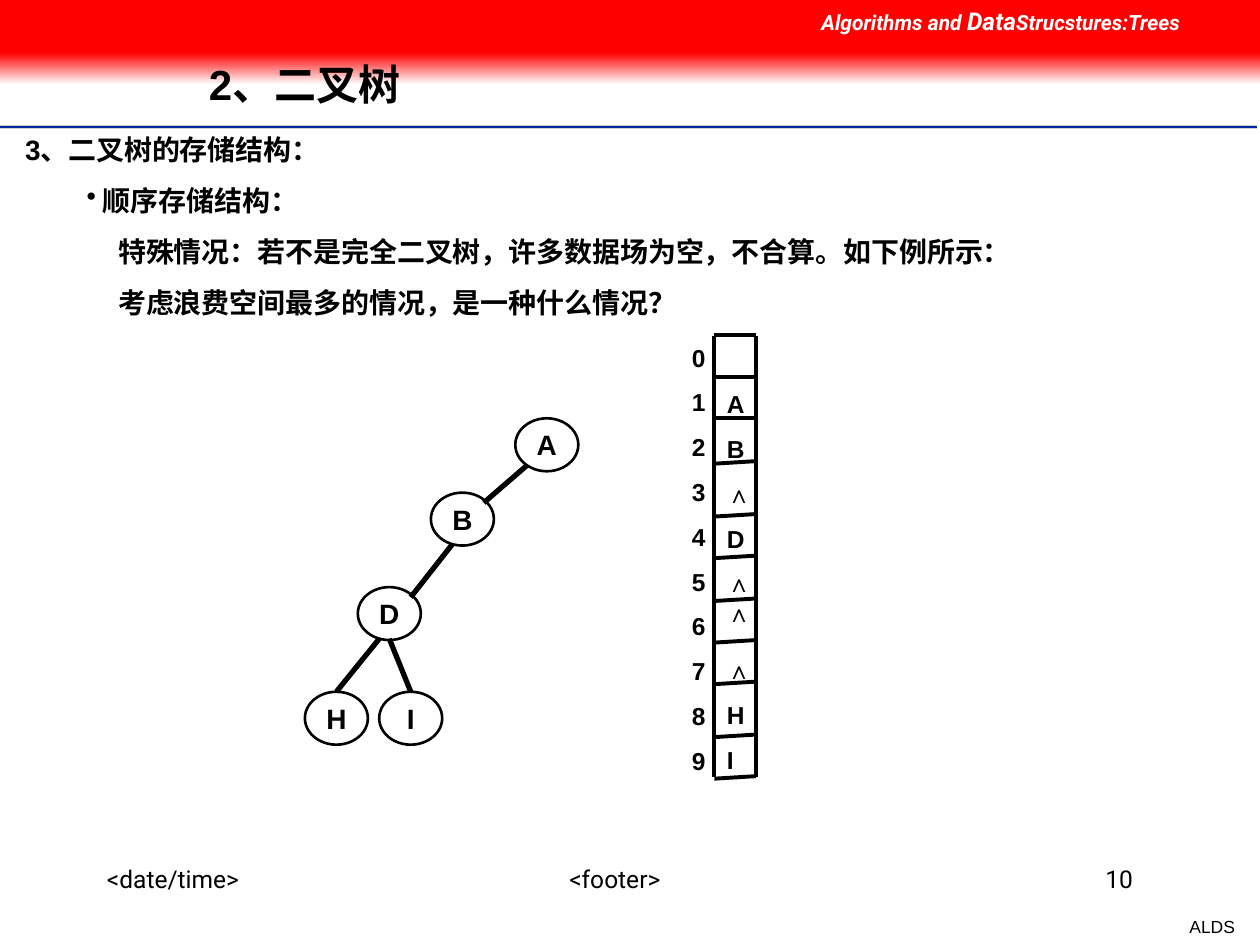
from lxml import etree
from pptx import Presentation, util as u
from pptx.dml.color import RGBColor
from pptx.enum import shapes, text
from pptx.oxml import ns

INK, RED, WHITE = "000000", "FF0000", "FFFFFF"
LEFT, MID, RIGHT = text.PP_ALIGN.LEFT, text.PP_ALIGN.CENTER, text.PP_ALIGN.RIGHT

RULES = [(1.01, "CECECE", 2), (1.01, "00279F", 1), (1.03, WHITE, 1)]

FOOT = [
    ((0.75, 6.81, 1.92, 0.5), "<date/time>", LEFT),
    ((3.42, 6.81, 2.92, 0.5), "<footer>", MID),
    ((7.17, 6.81, 1.92, 0.5), "10", RIGHT),
]
HEAD = [("Algorithms and ", 12), ("Data", 14), ("Strucstures:Trees", 12)]
TITLE = "2、二叉树"
BODY = [
    ("3、二叉树的存储结构：", 0.5, 0, 0, False),
    (" 顺序存储结构：", 0.93, 0.06, 10, True),
    ("特殊情况：若不是完全二叉树，许多数据场为空，不合算。如下例所示：", 0.93, 0.31, 10, False),
    ("考虑浪费空间最多的情况，是一种什么情况？", 0.93, 0.31, 10, False),
]

CELLS = [("A", 0), ("B", 8.8), ("∧", 8.8), ("D", 8.8), ("∧", 8.8),
         ("∧", 0), ("∧", 16), ("H", 8.8), ("I", 8.8)]
ROWS = [2.66, 2.99, 3.32, 3.68, 4.1, 4.43, 4.77, 5.1, 5.43, 5.85, 6.18]
COL = (5.67, 6)

ROOT = ("A", 4.09, 3.32)
NODES = [("D", 2.84, 4.66), ("B", 3.42, 3.91), ("H", 2.42, 5.49), ("I", 3.01, 5.49)]
EDGES = [
    (4.51, 3.41, 3.84, 3.99),
    (3.59, 4.32, 3.26, 4.74),
    (3.09, 5.07, 3.26, 5.49),
    (3.01, 5.07, 2.67, 5.49),
]

deck = Presentation()
deck.slide_width, deck.slide_height = u.Inches(10), u.Inches(7.5)
page = deck.slides.add_slide(deck.slide_layouts[6])


def color(code):
    return RGBColor.from_string(code)


def place(box):
    return [u.Inches(v) for v in box]


def line(ends, code, width):
    item = page.shapes.add_connector(shapes.MSO_CONNECTOR.STRAIGHT, *place(ends))
    item.line.color.rgb = color(code)
    item.line.width = u.Pt(width)
    etree.SubElement(item._element.spPr, ns.qn("a:effectLst"))


def shape(kind, box):
    item = page.shapes.add_shape(kind, *place(box))
    item.shadow.inherit = False
    item.line.fill.background()
    return item


def style(run, size, name="Arial", code=INK, **form):
    for key, val in dict(form, size=u.Pt(size), name=name).items():
        setattr(run.font, key, val)
    run.font.color.rgb = color(code)


def frame(box, wrap=True):
    item = page.shapes.add_textbox(*place(box)).text_frame
    item.word_wrap = wrap
    return item


def add(body, words, size, first=False, align=LEFT, gap=0, **form):
    para = body.paragraphs[0] if first else body.add_paragraph()
    para.alignment = align
    para.space_before = u.Pt(gap)
    run = para.add_run()
    run.text = words
    style(run, size, **form)
    return para


def node(name, left, top):
    item = shape(shapes.MSO_SHAPE.OVAL, (left, top, 0.5, 0.42))
    item.fill.solid()
    item.fill.fore_color.rgb = color(WHITE)
    item.line.color.rgb = color(INK)
    item.line.width = u.Pt(1.5)
    body = item.text_frame
    body.word_wrap = False
    body.vertical_anchor = text.MSO_ANCHOR.MIDDLE
    add(body, name, 16, True, MID, bold=True)


for top, code, width in RULES:
    line((0, top, 9.98, top), code, width)

add(frame((9.34, 7.22, 0.56, 0.27), False), "ALDS", 10, True, RIGHT)
for box, words, align in FOOT:
    add(frame(box), words, 14, True, align, name="Roboto")

fade = shape(shapes.MSO_SHAPE.RECTANGLE, (0, 0.42, 10, 0.25))
fade.fill.gradient()
fade.fill.gradient_angle = 270
for stop, code in zip(fade.fill.gradient_stops, (RED, "FEFEFE")):
    stop.color.rgb = color(code)
band = shape(shapes.MSO_SHAPE.RECTANGLE, (0, 0, 10, 0.42))
band.fill.solid()
band.fill.fore_color.rgb = color(RED)

para = frame((6.42, 0, 3.58, 0.34)).paragraphs[0]
for words, size in HEAD:
    run = para.add_run()
    run.text = words
    style(run, size, "Roboto", WHITE, bold=True, italic=True)

title = frame((1.56, 0.32, 7.55, 0.74))
title.vertical_anchor = text.MSO_ANCHOR.MIDDLE
add(title, TITLE, 24, True, bold=True).line_spacing = 0.9

body = frame((-0.4, 1, 8.41, 1.59))
for n, (words, left, dent, gap, mark) in enumerate(BODY):
    para = add(body, words, 16, n == 0, gap=gap, bold=True)
    prop = para._p.get_or_add_pPr()
    prop.set("marL", str(u.Inches(left)))
    prop.set("indent", str(u.Inches(dent)))
    if mark:
        etree.SubElement(prop, ns.qn("a:buChar")).set("char", "•")

cells = frame((5.67, 3.04, 0.58, 3.17))
for n, (words, gap) in enumerate(CELLS):
    add(cells, words, 14, n == 0, gap=gap, bold=True)

index = frame((5.17, 2.67, 0.75, 3.53))
for n in range(10):
    add(index, str(n), 14, n == 0, MID, 8.8 if n else 0, bold=True)

for n, top in enumerate(ROWS):
    tilt = 0.02 if n > 2 else 0
    line((COL[0], top, COL[1], top - tilt), INK, 2.25)
for left in COL:
    line((left, 2.67, left, 3), INK, 2.25)
    line((left, 2.99, left, 6.17), INK, 2.25)

for item in NODES:
    node(*item)
for ends in EDGES:
    line(ends, INK, 3)
node(*ROOT)

deck.save("out.pptx")
